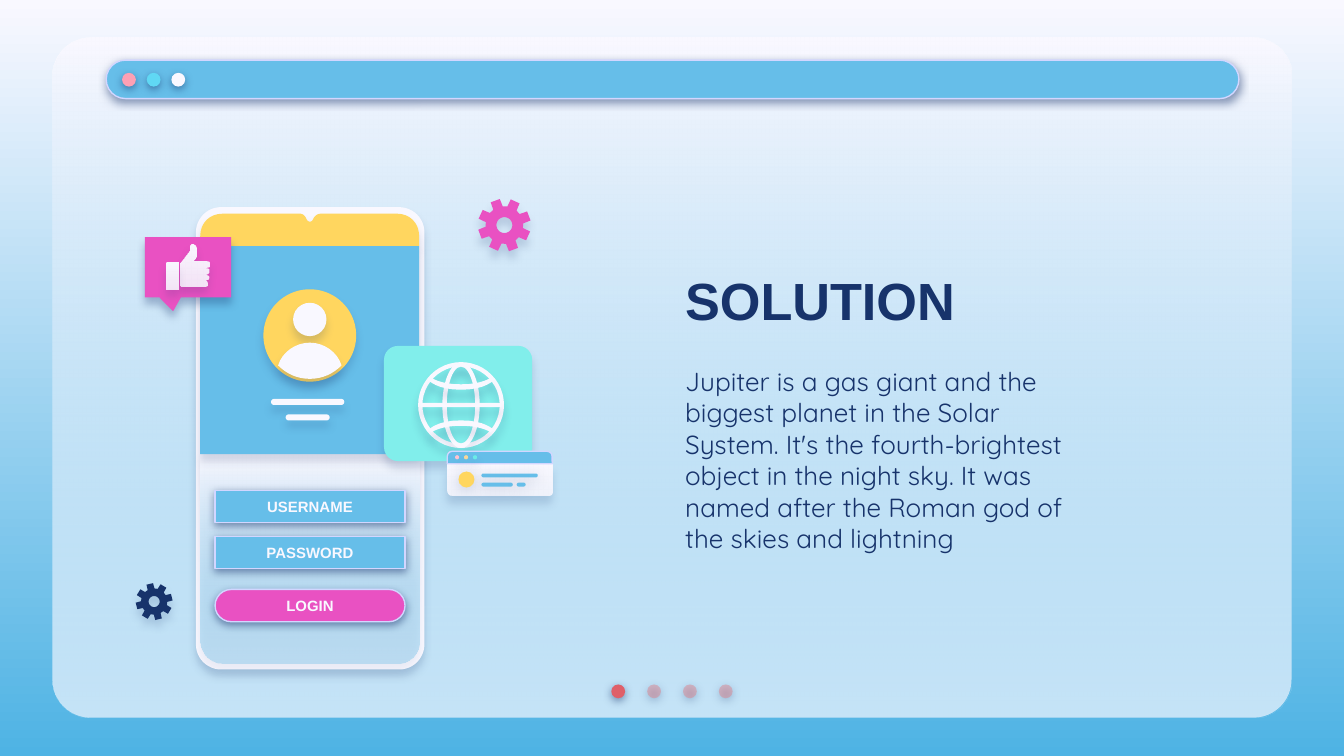
from dataclasses import dataclass
from math import cos, radians, sin

from lxml.etree import SubElement
from pptx import Presentation
from pptx.dml.color import RGBColor
from pptx.enum.shapes import MSO_SHAPE as Kind
from pptx.enum.text import MSO_ANCHOR, PP_ALIGN
from pptx.oxml.ns import qn
from pptx.util import Pt


@dataclass(frozen=True)
class Theme:
    white: str = "F9F8FF"
    sky: str = "4EB3E4"
    blue: str = "66BEE9"
    navy: str = "17336B"
    pink: str = "E951C2"
    gold: str = "FFD65F"
    aqua: str = "81EEEB"
    edge: str = "D2D6FF"
    glass: tuple = (("F9F8FF", 100), ("66BEE9", 35))
    mist: tuple = (("F9F8FF", 100), ("F9F8FF", 87))
    page: tuple = ("DF5F69",) + ((("E27B83", 44),),) * 3
    tabs: tuple = ("FDA0B4", "60D8F4", "F9F8FF")
    beads: tuple = ("FFC3D0", "F5D79B", "6AEBE7")
    hard: tuple = (50, 4.5, 1.5)
    soft: tuple = (16, 4.5, 3.8)
    deep: tuple = (16, 4.5, 4.5)
    bold: tuple = (31, 4.5, 3.8)
    wide: tuple = (18, 6.8, 1.5)
    head: str = "Arial"
    body: str = "Quicksand"
    big: float = 28
    mid: float = 14
    small: float = 8


T = Theme()


def rgb(code):
    return RGBColor.from_string(code)


def put(item, vals):
    for name, val in vals.items():
        setattr(item, name, val)


def blend(fill, stops):
    fill.gradient()
    fill.gradient_angle = 270
    for stop, (code, _) in zip(fill.gradient_stops, stops):
        stop.color.rgb = rgb(code)


def tint(node, alpha):
    SubElement(node, qn("a:alpha")).set("val", str(alpha * 1000))


def paint(shape, fill, glow=None, line=None):
    stops = ((fill, 100),) if isinstance(fill, str) else fill
    if len(stops) > 1:
        blend(shape.fill, stops)
    else:
        shape.fill.solid()
        shape.fill.fore_color.rgb = rgb(stops[0][0])
    nodes = shape._element.spPr.findall(".//" + qn("a:srgbClr"))
    for node, (_, alpha) in zip(nodes, stops):
        if alpha < 100:
            tint(node, alpha)
    if line:
        shape.line.color.rgb = rgb(line)
        shape.line.width = Pt(0.75)
    else:
        shape.line.fill.background()
    shape.shadow.inherit = False
    if glow:
        alpha, blur, dist = glow
        root = shape._element.spPr.find(qn("a:effectLst"))
        cast = SubElement(root, qn("a:outerShdw"))
        vals = {"blurRad": Pt(blur), "dist": Pt(dist), "dir": 5400000,
                "algn": "bl", "rotWithShape": 0}
        for name, val in vals.items():
            cast.set(name, str(val))
        node = SubElement(cast, qn("a:srgbClr"))
        node.set("val", T.navy)
        tint(node, alpha)


def form(slide, kind, box, fill, glow=None, line=None, bend=()):
    shape = slide.shapes.add_shape(kind, *map(Pt, box))
    for i, val in enumerate(bend):
        shape.adjustments[i] = val
    paint(shape, fill, glow, line)
    return shape


def write(shape, text, size, face, color, **vals):
    frame = shape.text_frame
    put(frame, {"word_wrap": True, "vertical_anchor": MSO_ANCHOR.MIDDLE})
    put(frame, {"margin_" + side: Pt(7.2)
                for side in ("left", "right", "top", "bottom")})
    para = frame.paragraphs[0]
    para.alignment = vals.pop("align", PP_ALIGN.LEFT)
    run = para.add_run()
    run.text = text
    put(run.font, {"size": Pt(size), "name": face, **vals})
    run.font.color.rgb = rgb(color)


def label(slide, box, *spec, **vals):
    write(slide.shapes.add_textbox(*map(Pt, box)), *spec, **vals)


def dots(slide, x, y, size, step, fills, glow):
    for i, fill in enumerate(fills):
        form(slide, Kind.OVAL, (x + i * step, y, size, size), fill, glow)


def pill(slide, box, fill, glow):
    form(slide, Kind.ROUNDED_RECTANGLE, box, fill, glow, bend=[0.5])


def trace(slide, rings, fill, glow):
    rings = [[(Pt(x), Pt(y)) for x, y in ring] for ring in rings]
    pen = slide.shapes.build_freeform(*rings[0][0])
    for i, ring in enumerate(rings):
        if i:
            pen.move_to(*ring[0])
        pen.add_line_segments(ring[1:], close=True)
    paint(pen.convert_to_shape(), fill, glow)


def curve(start, *parts):
    out = [start]
    for part in parts:
        if len(part) == 2:
            out.append(part)
            continue
        x, y = out[-1]
        a, b, c, d, e, f = part
        for i in range(1, 9):
            t = i / 8
            u = 1 - t
            w = (u ** 3, 3 * u * u * t, 3 * u * t * t, t ** 3)
            out.append((sum(p * q for p, q in zip(w, (x, a, c, e))),
                        sum(p * q for p, q in zip(w, (y, b, d, f)))))
    return out


def gear(slide, x, y, size, turn, fill, glow):
    def spot(part, deg):
        ang = radians(deg)
        return x + size * part * sin(ang), y - size * part * cos(ang)

    rim = [spot(part, turn + 45 * i + off) for i in range(8)
           for part, off in ((0.71, -15.5), (1, -10.5), (1, 10.5), (0.71, 15.5))]
    hole = [spot(0.3, deg) for deg in range(360, 0, -10)]
    trace(slide, [rim, hole], fill, glow)


def frame(slide):
    card = (28.1, 20.2, 663.8, 364.3)
    for fill in (T.white, T.glass):
        form(slide, Kind.ROUNDED_RECTANGLE, card, fill, bend=[0.056])
    dots(slide, 327.5, 366.7, 7.4, 19.2, T.page, T.hard)
    form(slide, Kind.ROUNDED_RECTANGLE, (56.9, 32.2, 606.8, 20.6), T.blue,
         T.hard, T.edge, [0.5])
    dots(slide, 65.4, 39, 7.4, 13.2, T.tabs, T.hard)


def phone(slide):
    form(slide, Kind.ROUNDED_RECTANGLE, (105, 111, 122.4, 247.7), T.white,
         T.soft, bend=[0.11])
    form(slide, Kind.ROUND_2_SAME_RECTANGLE, (107.3, 243.3, 117.3, 112.4),
         T.glass, T.soft, bend=[0, 0.11])
    top = curve((119.5, 114.5), (112.3, 114.5, 107.3, 119.5, 107.3, 126.7),
                (107.3, 131.8), (224.6, 131.8), (224.6, 126.7),
                (224.6, 119.5, 219.6, 114.5, 212.6, 114.5), (172, 114.5),
                (170, 114.5, 168.5, 115.9, 167.8, 117.4),
                (167.5, 118.2, 167, 118.8, 166, 118.8),
                (165, 118.8, 164.5, 118, 164.2, 117.4),
                (163.5, 115.4, 162, 114.5, 160.6, 114.5))
    trace(slide, [top], T.gold, T.soft)
    form(slide, Kind.RECTANGLE, (107.3, 131.8, 117.3, 111.5), T.blue, T.soft)
    form(slide, Kind.OVAL, (141.1, 155, 49.7, 49.5), T.gold, T.soft)
    form(slide, Kind.OVAL, (157, 162.2, 17.9, 17.9), T.white, T.soft)
    bust = curve((166, 183.6), (158.4, 183.6, 151.2, 188.6, 149, 195.8),
                 (153.4, 200.2, 159.1, 203, 166, 203),
                 (172.9, 203, 178.6, 200.2, 183, 195.8),
                 (180.8, 188.6, 173.6, 183.6, 166, 183.6))
    trace(slide, [bust], T.white, T.soft)
    for box in ((145.2, 213.7, 39.3, 3.3), (153, 222, 23.6, 3.3)):
        pill(slide, box, T.white, T.soft)
    for text, y, fill, bend in (("USERNAME", 262.7, T.blue, 0),
                                ("PASSWORD", 287.3, T.blue, 0),
                                ("LOGIN", 315.8, T.pink, 0.5)):
        field = form(slide, Kind.ROUNDED_RECTANGLE, (115.2, y, 101.8, 17.3),
                     fill, T.hard, T.edge, [bend])
        write(field, text, T.small, T.head, T.white, bold=True,
              align=PP_ALIGN.CENTER)


def like(slide):
    form(slide, Kind.ROUNDED_RECTANGULAR_CALLOUT, (77.7, 127, 46.2, 32.3),
         T.pink, T.bold, bend=[-0.174, 0.731, 0])
    thumb = curve((103, 131.2), (102.2, 131.2, 101.5, 131.8, 101.5, 132.5),
                  (101.5, 134.6), (96.5, 141.1), (96.5, 152.6), (97.2, 153.4),
                  (109.4, 153.4), (110.2, 153.4, 110.9, 152.6, 110.9, 151.9),
                  (110.9, 150.5, 110.2, 149.8, 109.4, 149.8),
                  (110.9, 149.8, 111.6, 149, 111.6, 148.3),
                  (111.6, 147.6, 110.9, 146.9, 109.4, 146.9), (110.2, 146.9),
                  (110.9, 146.9, 111.6, 146.2, 111.6, 144.7),
                  (111.6, 144, 110.9, 143.3, 110.2, 143.3),
                  (111.6, 143.3, 112.3, 142.6, 112.3, 141.8),
                  (112.3, 140.4, 111.6, 139.7, 110.2, 139.7), (103.7, 139.7),
                  (105.1, 138.2, 105.1, 136.8, 105.1, 134.6), (105.1, 133.9),
                  (105.1, 132.5, 104.4, 131.2, 103, 131.2))
    trace(slide, [thumb], T.mist, T.soft)
    form(slide, Kind.ROUNDED_RECTANGLE, (89.1, 140.9, 6.3, 14.4), T.mist,
         T.hard[:0] or T.soft, bend=[0.1])


def globe(slide):
    form(slide, Kind.ROUNDED_RECTANGLE, (205.7, 185.3, 79.4, 61.7), T.aqua,
         T.soft, bend=[0.12])
    for x, wide, bend in ((224, 46, 0.05), (237, 20, 0.12)):
        form(slide, Kind.DONUT, (x, 194, wide, 46), T.white, T.deep, bend=[bend])
    form(slide, Kind.RECTANGLE, (225.2, 215.9, 43.6, 2.3), T.white, T.deep)
    arc = curve((231.1, 202.3), (229.7, 203.8),
                (229.7, 203.8, 234, 208.8, 247, 208.8),
                (260, 208.8, 264.3, 203.8, 264.3, 203.8), (262.9, 202.3),
                (262.9, 202.3, 258.5, 205.9, 247, 205.9),
                (235.5, 205.9, 231.1, 202.3, 231.1, 202.3))
    for ring in (arc, [(x, 434 - y) for x, y in arc]):
        trace(slide, [ring], T.white, T.deep)


def panel(slide):
    form(slide, Kind.ROUND_2_SAME_RECTANGLE, (239.6, 248.4, 56.2, 17.1), T.mist,
         T.deep, bend=[0, 0.17])
    form(slide, Kind.ROUND_2_SAME_RECTANGLE, (239.6, 241.8, 56.2, 6.7), T.blue,
         line=T.edge, bend=[0.4, 0])
    dots(slide, 243.8, 243.9, 2.2, 4.8, T.beads, T.soft)
    dots(slide, 245.6, 252.6, 8.6, 0, [T.gold], T.wide)
    for x, y, wide in ((257.9, 253.7, 30.2), (257.9, 258.6, 16.8), (276.8, 258.6, 4.8)):
        pill(slide, (x, y, wide, 2.1), T.blue, T.wide)


def main():
    deck = Presentation()
    put(deck, {"slide_width": Pt(720), "slide_height": Pt(405)})
    slide = deck.slides.add_slide(deck.slide_layouts[6])
    blend(slide.background.fill, ((T.white, 100), (T.sky, 100)))
    frame(slide)
    label(slide, (360, 131.8, 221, 56.9), "SOLUTION", T.big, T.head, T.navy,
          bold=True)
    label(slide, (360, 190.8, 221, 110.9),
          "Jupiter is a gas giant and the biggest planet in the Solar System. "
          "It's the fourth-brightest object in the night sky. It was named "
          "after the Roman god of the skies and lightning",
          T.mid, T.body, T.navy)
    for draw in (phone, like, globe, panel):
        draw(slide)
    gear(slide, 270.2, 120.6, 14.2, -20.5, T.pink, T.deep)
    gear(slide, 82.6, 322.3, 9.9, -14, T.navy, T.soft)
    deck.save("out.pptx")


if __name__ == "__main__":
    main()
